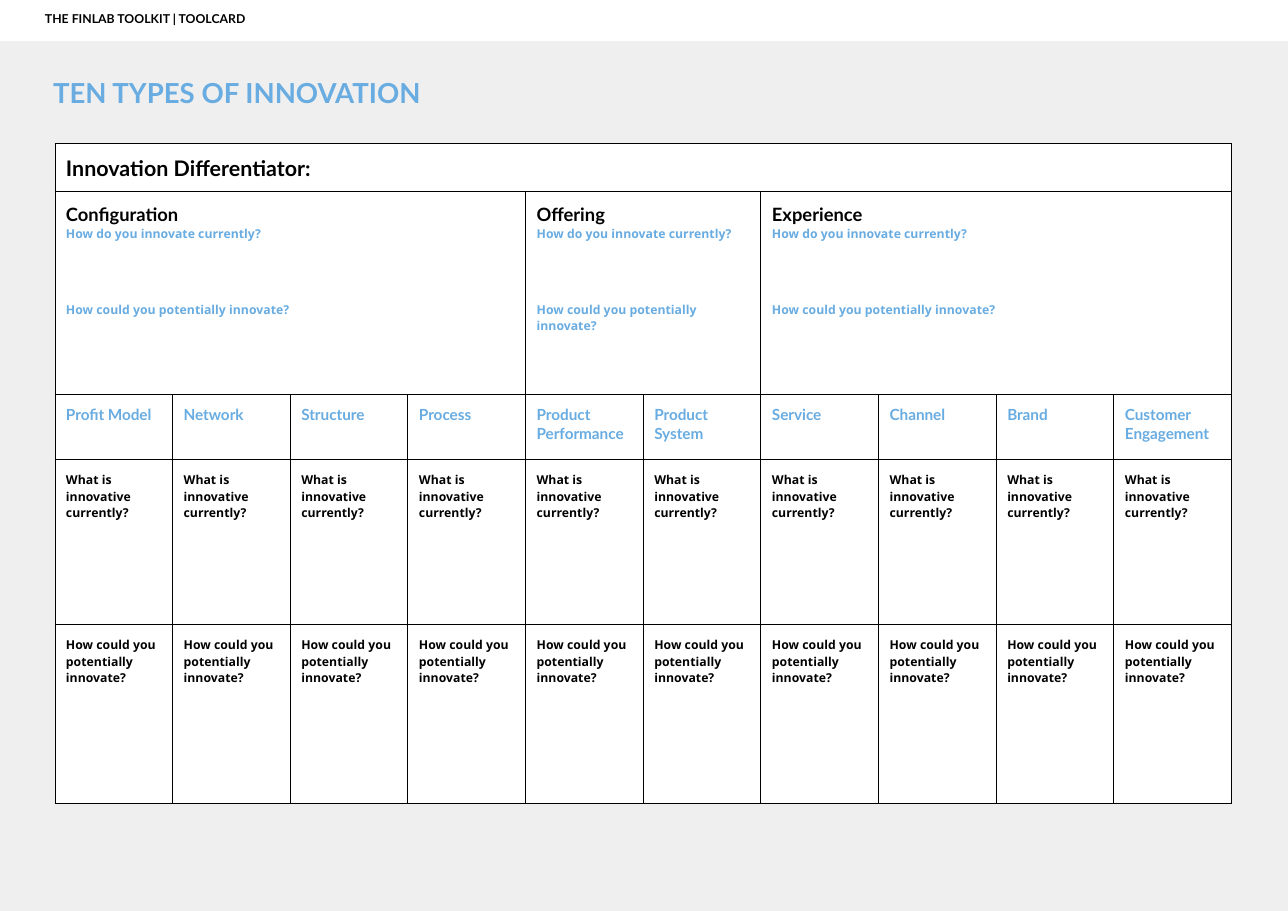
from lxml.etree import SubElement
from pptx import Presentation
from pptx.dml.color import RGBColor
from pptx.enum.shapes import MSO_SHAPE
from pptx.enum.text import MSO_ANCHOR, PP_ALIGN
from pptx.oxml.ns import qn
from pptx.util import Emu, Pt

EMU_PER_PX = 8298
SLIDE_WIDTH, SLIDE_HEIGHT = 1288, 911
INSET = 11
COLORS = {"page": "EFEFEF", "white": "FFFFFF", "black": "000000", "blue": "68ACE1"}

ROW_HEIGHTS = [48, 203, 65, 165, 179]
CATEGORIES = {
    "Configuration": ["Profit Model", "Network", "Structure", "Process"],
    "Offering": ["Product Performance", "Product System"],
    "Experience": ["Service", "Channel", "Brand", "Customer Engagement"],
}
CATEGORY_QUESTIONS = ["How do you innovate currently?", "How could you potentially innovate?"]
TYPE_QUESTIONS = ["What is innovative currently?", "How could you potentially innovate?"]


def px(length):
    return Emu(length * EMU_PER_PX)


def color(name):
    return RGBColor.from_string(COLORS[name])


def style(paragraph, size, font_name, color_name):
    paragraph.alignment = PP_ALIGN.LEFT
    for run in paragraph.runs:
        run.font.size = Pt(size)
        run.font.name = font_name
        run.font.bold = True
        run.font.color.rgb = color(color_name)


def set_insets(holder, left=INSET):
    """Set the margins of a text frame or a table cell."""
    holder.margin_left = px(left)
    holder.margin_top = holder.margin_right = holder.margin_bottom = px(INSET)
    holder.vertical_anchor = MSO_ANCHOR.TOP


def set_text(text_frame, text, left, size, color_name):
    text_frame.word_wrap = True
    set_insets(text_frame, left)
    text_frame.text = text
    style(text_frame.paragraphs[0], size, "Lato", color_name)


def add_band(slide, height, fill_name):
    """Add a full-width rectangle at the top of the slide."""
    shape = slide.shapes.add_shape(MSO_SHAPE.RECTANGLE, 0, 0, px(SLIDE_WIDTH), px(height))
    shape.shadow.inherit = False
    shape.fill.solid()
    shape.fill.fore_color.rgb = color(fill_name)
    shape.line.fill.background()
    return shape


def add_title(slide, text):
    box = slide.shapes.add_textbox(0, px(65), px(732), px(83))
    set_text(box.text_frame, text, 53, 18, "blue")


def format_cell(cell):
    properties = cell._tc.get_or_add_tcPr()
    for side in ("lnL", "lnR", "lnT", "lnB"):
        line = SubElement(properties, qn(f"a:{side}"), w=str(Pt(0.75)))
        fill = SubElement(line, qn("a:solidFill"))
        SubElement(fill, qn("a:srgbClr"), val=COLORS["black"])
    set_insets(cell)
    cell.fill.solid()
    cell.fill.fore_color.rgb = color("white")


def write_cell(cell, text, size, font_name="Lato", color_name="black"):
    cell.text_frame.text = text
    style(cell.text_frame.paragraphs[0], size, font_name, color_name)


def write_category(cell, name):
    """Write a category name with its questions and room for answers."""
    write_cell(cell, name, 12)
    for question, space in zip(CATEGORY_QUESTIONS, (0, 38.5)):
        paragraph = cell.text_frame.add_paragraph()
        paragraph.text = question
        paragraph.space_before = Pt(space)
        style(paragraph, 8, "Open Sans", "blue")


def add_innovation_table(slide):
    column_count = sum(len(types) for types in CATEGORIES.values())
    table = slide.shapes.add_table(
        len(ROW_HEIGHTS), column_count, px(55), px(144), px(1177), px(sum(ROW_HEIGHTS))
    ).table
    table.first_row = table.horz_banding = False
    for row, height in zip(table.rows, ROW_HEIGHTS):
        row.height = px(height)
    for cell in table.iter_cells():
        format_cell(cell)

    table.cell(0, 0).merge(table.cell(0, column_count - 1))
    write_cell(table.cell(0, 0), "Innovation Differentiator:", 14)

    column = 0
    for category, types in CATEGORIES.items():
        table.cell(1, column).merge(table.cell(1, column + len(types) - 1))
        write_category(table.cell(1, column), category)
        for innovation_type in types:
            write_cell(table.cell(2, column), innovation_type, 10, color_name="blue")
            for row_index, question in enumerate(TYPE_QUESTIONS, start=3):
                write_cell(table.cell(row_index, column), question, 8, "Open Sans")
            column += 1


def main():
    presentation = Presentation()
    presentation.slide_width = px(SLIDE_WIDTH)
    presentation.slide_height = px(SLIDE_HEIGHT)
    slide = presentation.slides.add_slide(presentation.slide_layouts[6])

    add_band(slide, SLIDE_HEIGHT, "page")
    add_title(slide, "TEN TYPES OF INNOVATION")
    add_innovation_table(slide)
    header = add_band(slide, 41, "white")
    set_text(header.text_frame, "THE FINLAB TOOLKIT | TOOLCARD", 45, 8, "black")

    presentation.save("out.pptx")


if __name__ == "__main__":
    main()
